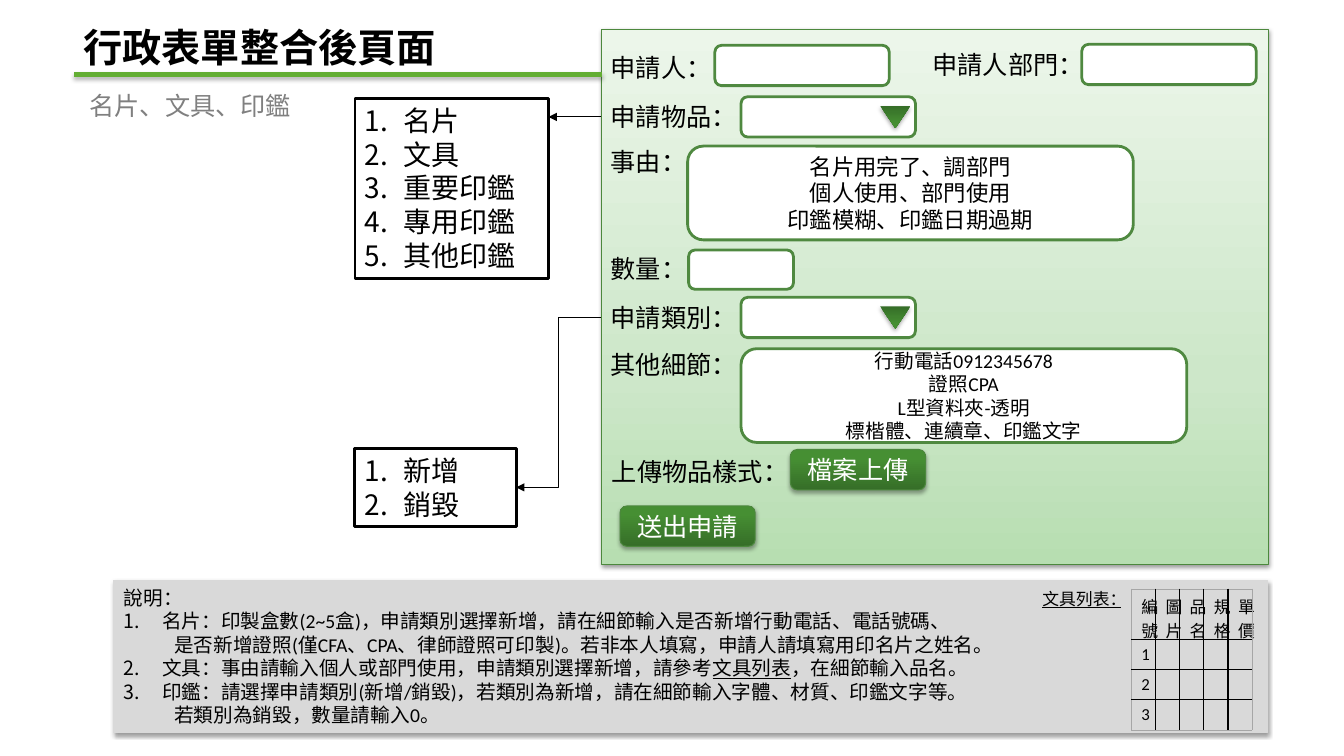
from lxml.etree import SubElement
from pptx import Presentation
from pptx.dml.color import RGBColor
from pptx.enum.shapes import MSO_CONNECTOR as CONN, MSO_SHAPE as SHAPE
from pptx.enum.text import MSO_ANCHOR as ANCHOR, MSO_AUTO_SIZE as AUTO, PP_ALIGN as ALIGN
from pptx.oxml.ns import qn
from pptx.util import Inches, Pt

FONT = "Calibri"
CJK_FONT = "Noto Sans CJK SC"
BLACK, WHITE, GREY = "000000", "FFFFFF", "D9D9D9"
EDGE, FIELD_EDGE = "4C883D", "4F8940"
PANEL_GRADIENT = [(0, "B7DEB1"), (35, "CDE7C9"), (100, "ECF6EA")]
BUTTON_GRADIENT = [(0, "366E28"), (80, "468F33"), (100, "469232")]
PANEL_SHADOW = (38, 1.6)  # opacity %, distance in points
BUTTON_SHADOW = (35, 1.8)
LABEL_X = 5.96


def rgb(value):
    return RGBColor.from_string(value)


def child(parent, tag, **attrs):
    return SubElement(parent, qn(tag), {k: str(v) for k, v in attrs.items()})


def add_effects(sp, shadow=None):
    effects = child(sp._element.spPr, "a:effectLst")
    if shadow:
        opacity, dist = shadow
        outer = child(effects, "a:outerShdw", blurRad=Pt(3.1), dist=Pt(dist),
                      dir=90 * 60000, rotWithShape=0)
        color = child(outer, "a:srgbClr", val=BLACK)
        child(color, "a:alpha", val=opacity * 1000)


def set_gradient(sp, stops):
    sp.fill.gradient()
    grad = sp._element.spPr.find(qn("a:gradFill"))
    for el in list(grad):
        grad.remove(el)
    stop_list = child(grad, "a:gsLst")
    for pos, color in stops:
        stop = child(stop_list, "a:gs", pos=pos * 1000)
        child(stop, "a:srgbClr", val=color)
    child(grad, "a:lin", ang=270 * 60000, scaled=0)


def add_run(p, text, size, color=BLACK, bold=False, underline=False, font=FONT):
    r = p.add_run()
    r.text = text
    r.font.name, r.font.size, r.font.color.rgb = font, Pt(size), rgb(color)
    if bold:
        r.font.bold = True
    if underline:
        r.font.underline = True


def number(p, start=1):
    pPr = p._p.get_or_add_pPr()
    pPr.set("marL", str(Inches(0.38)))
    pPr.set("indent", str(-Inches(0.38)))
    bullet = child(pPr, "a:buAutoNum", type="arabicPeriod")
    if start > 1:
        bullet.set("startAt", str(start))


def paragraphs(tf, count):
    return [tf.paragraphs[0]] + [tf.add_paragraph() for _ in range(count - 1)]


def add_box(slide, kind, x, y, w, h, fill, line=None, width=0.75, shadow=None):
    sp = slide.shapes.add_shape(kind, Inches(x), Inches(y), Inches(w), Inches(h))
    if isinstance(fill, list):
        set_gradient(sp, fill)
    else:
        sp.fill.solid()
        sp.fill.fore_color.rgb = rgb(fill)
    if line:
        sp.line.color.rgb, sp.line.width = rgb(line), Pt(width)
    else:
        sp.line.fill.background()
    add_effects(sp, shadow)
    return sp


def add_text(slide, text, x, y, w, h, size=18, wrap=False, **style):
    sp = slide.shapes.add_textbox(Inches(x), Inches(y), Inches(w), Inches(h))
    sp.text_frame.word_wrap = wrap
    add_run(sp.text_frame.paragraphs[0], text, size, **style)
    return sp


def add_label(slide, text, y, w, x=LABEL_X):
    sp = add_text(slide, text, x, y, w, 0.4)
    sp.text_frame.auto_size = AUTO.SHAPE_TO_FIT_TEXT
    return sp


def centre_lines(sp, lines, size, color=BLACK):
    tf = sp.text_frame
    tf.word_wrap, tf.vertical_anchor = True, ANCHOR.MIDDLE
    for p, line in zip(paragraphs(tf, len(lines)), lines):
        p.alignment = ALIGN.CENTER
        add_run(p, line, size, color)


def add_field(slide, x, y, w=1.73, h=0.4, lines=(), size=16):
    sp = add_box(slide, SHAPE.ROUNDED_RECTANGLE, x, y, w, h, WHITE, FIELD_EDGE, 2)
    if lines:
        centre_lines(sp, lines, size)


def add_dropdown(slide, text, y):
    label = add_label(slide, text, y, 1.34)
    add_field(slide, 7.35, y)
    arrow = add_box(slide, SHAPE.ISOSCELES_TRIANGLE, 8.73, y + 0.09, 0.3, 0.22,
                    BUTTON_GRADIENT, shadow=BUTTON_SHADOW)
    arrow.rotation = 180
    return label


def add_button(slide, text, x, y):
    sp = add_box(slide, SHAPE.ROUNDED_RECTANGLE, x, y, 1.34, 0.4,
                 BUTTON_GRADIENT, EDGE, shadow=BUTTON_SHADOW)
    centre_lines(sp, [text], 18, WHITE)


def add_options(slide, y, w, h, options):
    sp = add_box(slide, SHAPE.RECTANGLE, 3.52, y, w, h, WHITE, BLACK, 2)
    tf = sp.text_frame
    tf.word_wrap, tf.vertical_anchor = True, ANCHOR.TOP
    for p, option in zip(paragraphs(tf, len(options)), options):
        number(p)
        p.alignment = ALIGN.LEFT
        add_run(p, option, 20)
    return sp


def add_line(slide, kind, x1, y1, x2, y2, color=BLACK, width=0.75, arrow=False, shadow=None):
    cx = slide.shapes.add_connector(kind, Inches(x1), Inches(y1), Inches(x2), Inches(y2))
    cx.line.color.rgb, cx.line.width = rgb(color), Pt(width)
    if arrow:
        child(cx.line._get_or_add_ln(), "a:tailEnd", type="triangle")
    add_effects(cx, shadow)
    return cx


def add_notes_box(slide):
    sp = add_box(slide, SHAPE.RECTANGLE, 1.13, 5.76, 11.44, 1.51, GREY, GREY,
                 shadow=PANEL_SHADOW)
    tf = sp.text_frame
    tf.word_wrap, tf.vertical_anchor = True, ANCHOR.TOP
    under, cjk = {"underline": True}, {"font": CJK_FONT}
    # Each line: first number of its list (0 for none), then its runs
    lines = [
        (0, [("說明：", {})]),
        (1, [("名片：印製盒數(2~5盒)，申請類別選擇新增，請在細節輸入是否新增行動電話、電話號碼、", {})]),
        (0, [("\t是否新增證照(僅CFA、CPA、律師證照可印製)。若非本人填寫，申請人請填寫用印名片之姓名。", {})]),
        (2, [("文具：事由請輸入個人或部門使用，申請類別選擇新增，請參考", {}),
             ("文具列表", under), ("，在細節輸入品名。", {})]),
        (2, [("印鑑：請選擇申請類別(新增/銷毀)，若類別為新增，請在細節輸入字體、材質、印鑑文字等。", {})]),
        (0, [("\t若類別為銷毀，數量請輸入", cjk), ("0", {}), ("。", cjk)]),
    ]
    for p, (start, runs) in zip(paragraphs(tf, len(lines)), lines):
        if start:
            number(p, start)
        p.alignment = ALIGN.LEFT
        for text, style in runs:
            add_run(p, text, 14, **style)


def add_stationery_table(slide):
    rows = [["編號", "圖片", "品名", "規格", "單價"]] + [[n, "", "", "", ""] for n in "123"]
    n_rows, n_cols = len(rows), len(rows[0])
    table = slide.shapes.add_table(n_rows, n_cols, Inches(11.22), Inches(5.84),
                                   Inches(1.14), Inches(1.31)).table
    table.first_row = table.horz_banding = False
    for col in table.columns:
        col.width = Inches(0.24)
    for i, texts in enumerate(rows):
        table.rows[i].height = Inches(0.28 if i else 0.47)
        for j, text in enumerate(texts):
            cell = table.cell(i, j)
            cell.vertical_anchor = ANCHOR.MIDDLE
            p = cell.text_frame.paragraphs[0]
            p.alignment, p.font.size = ALIGN.CENTER, Pt(12)
            if text:
                add_run(p, text, 12)
            tcPr = cell._tc.get_or_add_tcPr()
            outer = {"L": j == 0, "R": j == n_cols - 1, "T": i == 0, "B": i == n_rows - 1}
            for side, is_outer in outer.items():
                ln = child(tcPr, f"a:ln{side}", w=Pt(0.25 if is_outer else 1))
                fill = child(ln, "a:solidFill")
                child(fill, "a:srgbClr", val="A6A6A6" if is_outer else BLACK)
            cell.fill.background()


def main():
    prs = Presentation()
    prs.slide_width, prs.slide_height = Inches(13.33), Inches(7.5)
    slide = prs.slides.add_slide(prs.slide_layouts[6])

    # Form panel and headings
    add_box(slide, SHAPE.RECTANGLE, 5.97, 0.29, 6.61, 5.31, PANEL_GRADIENT, EDGE,
            shadow=PANEL_SHADOW)
    title = add_text(slide, "行政表單整合後頁面", 0.73, 0.01, 9.4, 0.74, 28, True, bold=True)
    title.text_frame.vertical_anchor = ANCHOR.BOTTOM
    subtitle = add_text(slide, "名片、文具、印鑑", 0.79, 0.7, 9.4, 0.56, wrap=True, color="808080")
    subtitle.text_frame.paragraphs[0].line_spacing = 1.5

    # Form rows
    add_label(slide, "申請人：", 0.47, 1.04)
    add_field(slide, 7.09, 0.45)
    add_label(slide, "申請人部門：", 0.44, 1.73, x=9.15)
    add_field(slide, 10.73, 0.44)
    item = add_dropdown(slide, "申請物品：", 0.96)
    add_label(slide, "事由：", 1.4, 1.04)
    add_field(slide, 6.82, 1.45, 4.42, 0.93,
              ["名片用完了、調部門", "個人使用、部門使用", "印鑑模糊、印鑑日期過期"])
    add_label(slide, "數量：", 2.46, 1.04)
    add_field(slide, 6.83, 2.48, 1.04, 0.39)
    category = add_dropdown(slide, "申請類別：", 2.95)
    add_label(slide, "其他細節：", 3.42, 1.34)
    add_field(slide, 7.35, 3.46, 4.42, 0.93,
              ["行動電話0912345678", "證照CPA", "L型資料夾-透明", "標楷體、連續章、印鑑文字"], 14)
    add_label(slide, "上傳物品樣式：", 4.48, 1.94, x=5.97)
    add_button(slide, "檔案上傳", 7.84, 4.46)
    add_button(slide, "送出申請", 6.15, 5.02)

    # Dropdown options and their arrows
    add_options(slide, 0.98, 1.92, 1.78, ["名片", "文具", "重要印鑑", "專用印鑑", "其他印鑑"])
    kinds = add_options(slide, 4.45, 1.6, 0.77, ["新增", "銷毀"])
    arrow = add_line(slide, CONN.STRAIGHT, LABEL_X, 1.16, 5.44, 1.16, arrow=True)
    arrow.begin_connect(item, 1)
    elbow = add_line(slide, CONN.ELBOW, LABEL_X, 3.15, 5.12, 4.84, arrow=True)
    elbow.begin_connect(category, 1)
    elbow.end_connect(kinds, 3)

    # Explanation and stationery list
    add_notes_box(slide)
    add_stationery_table(slide)
    add_text(slide, "文具列表：", 10.24, 5.79, 0.98, 0.3, 12, underline=True)

    # Title rule
    add_line(slide, CONN.STRAIGHT, 5.97, 0.74, 0.73, 0.74, "63AE33", 3, shadow=BUTTON_SHADOW)
    prs.save("out.pptx")


if __name__ == "__main__":
    main()
